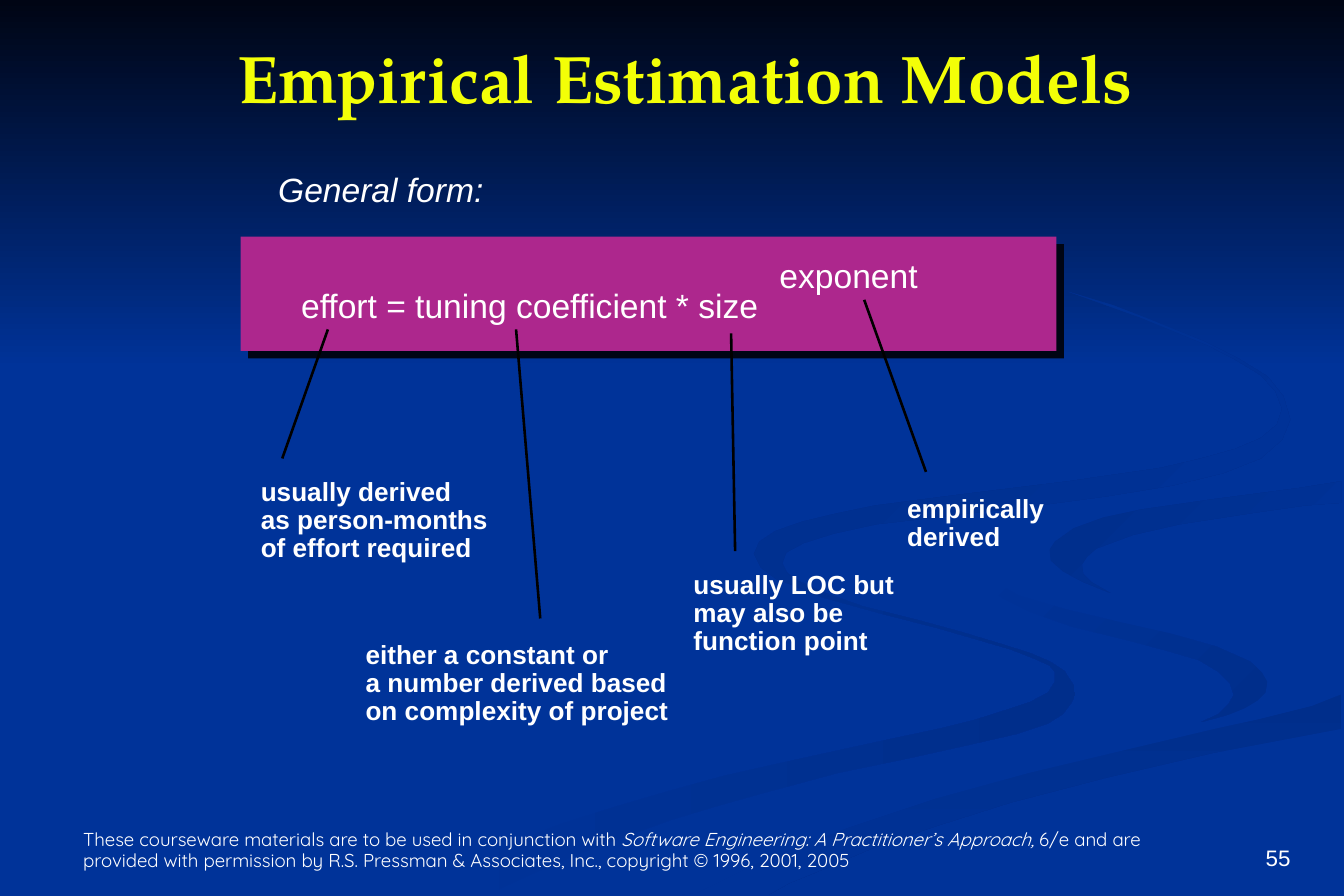
import lxml.etree
import pptx
import pptx.dml.color
import pptx.enum.shapes
import pptx.enum.text
import pptx.oxml
import pptx.oxml.ns
import pptx.util

Inches = pptx.util.Inches
Pt = pptx.util.Pt

NAVY, BLUE, SHADE, WHITE = "000514", "003399", "002E8B", "FFFFFF"

LOWER_RIBBON = [
    (7.81, 4.92), (7.67, 4.86), (7.45, 4.79), (7.15, 4.7), (6.82, 4.61), (6.42, 4.51),
    (6.14, 4.41), (5.94, 4.32), (5.83, 4.24), (5.76, 4.18), (5.74, 4.13), (5.75, 4.09),
    (5.7, 4.16), (5.72, 4.24), (5.81, 4.3), (5.93, 4.37), (6.11, 4.44), (6.54, 4.56),
    (6.97, 4.67), (7.28, 4.76), (7.52, 4.83), (7.7, 4.9), (7.81, 4.95), (7.85, 5),
    (7.85, 5.07), (7.8, 5.15), (7.67, 5.22), (7.49, 5.28), (7.27, 5.35), (6.99, 5.42),
    (6.52, 5.52), (5.79, 5.68), (5.39, 5.77), (4.99, 5.88), (4.58, 6), (4.17, 6.13),
    (3.76, 6.29), (3.38, 6.46), (3, 6.66), (3.61, 6.66), (3.96, 6.5), (4.31, 6.35),
    (4.66, 6.22), (4.99, 6.1), (5.32, 6), (5.64, 5.91), (6.23, 5.75), (6.76, 5.64),
    (7.21, 5.54), (7.56, 5.46), (7.8, 5.38), (7.91, 5.31), (7.97, 5.23), (8, 5.17),
    (7.99, 5.1), (7.92, 4.99),
]
MIDDLE_CURL = [
    (9.43, 5.07), (9.39, 5), (9.3, 4.92), (9.05, 4.81), (8.7, 4.71), (8.3, 4.62),
    (7.92, 4.53), (7.58, 4.43), (7.33, 4.29), (7.27, 4.22), (7.24, 4.13), (7.25, 4.22),
    (7.33, 4.35), (7.46, 4.45), (7.66, 4.55), (7.97, 4.66), (8.38, 4.76), (8.68, 4.84),
    (8.92, 4.91), (9.07, 5), (9.15, 5.08), (9.18, 5.17), (9.14, 5.24), (9.07, 5.31),
    (8.94, 5.37), (9.16, 5.31), (9.32, 5.24), (9.41, 5.17),
]
CORNER_SWEEP = [
    (5.19, 6.64), (5.03, 6.66), (5.71, 6.66), (5.87, 6.57), (6.14, 6.46), (6.49, 6.31),
    (6.95, 6.15), (7.52, 5.97), (8.21, 5.79), (9.03, 5.6), (9.98, 5.42), (9.98, 5.16),
    (9.76, 5.25), (9.36, 5.35), (9.03, 5.42), (8.31, 5.59), (7.64, 5.75), (6.96, 5.94),
    (6.3, 6.16), (5.69, 6.39),
]
WIDE_RIBBON = [
    (7.25, 4.12), (7.28, 4.21), (7.34, 4.29), (7.59, 4.42), (7.93, 4.52), (8.31, 4.62),
    (8.71, 4.71), (9.05, 4.8), (9.31, 4.92), (9.39, 5), (9.43, 5.07), (9.42, 5.15),
    (9.36, 5.21), (9.26, 5.27), (9.11, 5.33), (8.92, 5.38), (8.43, 5.49), (7.8, 5.63),
    (7.04, 5.82), (6.19, 6.08), (5.26, 6.44), (4.77, 6.66), (5.03, 6.66), (5.19, 6.64),
    (5.7, 6.39), (6.3, 6.16), (6.96, 5.94), (7.65, 5.75), (8.32, 5.59), (9.04, 5.42),
    (9.36, 5.35), (9.76, 5.25), (9.99, 5.16), (9.99, 4.79), (9.59, 4.72), (9.04, 4.61),
    (8.48, 4.48), (8.17, 4.37), (7.94, 4.27), (7.84, 4.17), (7.81, 4.11), (7.86, 4.03),
    (8, 3.93), (8.22, 3.85), (8.5, 3.79), (8.99, 3.72), (9.33, 3.69), (9.99, 3.58),
    (9.99, 3.44), (9.62, 3.51), (9.2, 3.57), (8.51, 3.65), (8.08, 3.71), (7.7, 3.79),
    (7.42, 3.9), (7.3, 4),
]
RIGHT_CURL = [
    (7.81, 4.09), (7.82, 4.17), (7.91, 4.25), (8.06, 4.33), (8.26, 4.41), (8.12, 4.33),
    (8.06, 4.27), (8.05, 4.2), (8.09, 4.14), (8.16, 4.08), (8.43, 3.98), (8.78, 3.9),
    (9.36, 3.81), (9.71, 3.76), (9.98, 3.74), (9.98, 3.58), (9.67, 3.63), (8.98, 3.72),
    (8.49, 3.79), (8.21, 3.85), (7.99, 3.93), (7.85, 4.03),
]
UPPER_RIBBON = [
    (6.95, 3.85), (7.65, 3.77), (8.25, 3.69), (8.73, 3.61), (9.1, 3.52), (9.38, 3.41),
    (9.54, 3.27), (9.6, 3.12), (9.55, 2.95), (9.43, 2.8), (9.22, 2.67), (8.96, 2.54),
    (8.54, 2.37), (8.28, 2.27), (7.95, 2.17), (8.48, 2.36), (8.99, 2.57), (9.2, 2.68),
    (9.38, 2.79), (9.49, 2.91), (9.54, 3.04), (9.5, 3.16), (9.38, 3.26), (9.19, 3.34),
    (8.94, 3.41), (8.64, 3.48), (7.95, 3.58), (7.21, 3.67), (6.51, 3.76), (6.22, 3.82),
    (5.97, 3.88), (5.77, 3.95), (5.65, 4.03), (5.61, 4.12), (5.66, 4.22), (5.78, 4.31),
    (5.95, 4.37), (6.18, 4.44), (5.99, 4.36), (5.86, 4.27), (5.82, 4.19), (5.85, 4.11),
    (5.98, 4.04), (6.2, 3.97), (6.52, 3.9),
]
SWIRLS = [
    (LOWER_RIBBON, (BLUE, SHADE), 0),
    (MIDDLE_CURL, (BLUE, SHADE), 45),
    (CORNER_SWEEP, (SHADE, BLUE), 90),
    (WIDE_RIBBON, (BLUE, BLUE), 0),
    (RIGHT_CURL, (SHADE, BLUE), 45),
    (UPPER_RIBBON, (SHADE, BLUE), 45),
]
TERMS = [
    ("General form:", 2.07, 1.29, 1.53, True),
    ("effort = tuning coefficient * size", 2.24, 2.15, 3.41, False),
    ("exponent", 5.8, 1.93, 1.03, False),
]
POINTERS = [
    (2.44, 2.45, 2.1, 3.41),
    (3.84, 2.45, 4.02, 4.6),
    (5.44, 2.48, 5.47, 4.1),
    (6.43, 2.23, 6.89, 3.51),
]
NOTES = [
    (1.94, 3.56, 1.69, ["usually derived", "as person-months", "of effort required"]),
    (2.72, 4.77, 2.3, ["either a constant or", "a number derived based", "on complexity of project"]),
    (5.16, 4.25, 1.5, ["usually LOC but", "may also be", "function point"]),
    (6.75, 3.69, 1.02, ["empirically", "derived"]),
]


def colour(value):
    """Turn a hex string into a colour."""
    return pptx.dml.color.RGBColor.from_string(value)


def paint_gradient(shape, ends, angle):
    """Fill a shape with two colours, the angle running clockwise."""
    shape.shadow.inherit = False
    shape.line.fill.background()
    shape.fill.gradient()
    shape.fill.gradient_angle = (360 - angle) % 360
    for stop, value, position in zip(shape.fill.gradient_stops, ends, (0, 1)):
        stop.color.rgb = colour(value)
        stop.position = position


def add_rectangle(page, left, top, width, height):
    """Add a rectangle without an outline."""
    box = page.shapes.add_shape(pptx.enum.shapes.MSO_SHAPE.RECTANGLE, *map(Inches, (left, top, width, height)))
    box.shadow.inherit = False
    box.line.fill.background()
    return box


def add_swirl(page, points, ends, angle):
    """Add a closed ribbon of the backdrop."""
    corners = [(Inches(x), Inches(y)) for x, y in points]
    builder = page.shapes.build_freeform(*corners[0])
    builder.add_line_segments(corners[1:], close=True)
    paint_gradient(builder.convert_to_shape(), ends, angle)


def add_formula_panel(page):
    """Add the panel with its hard shadow."""
    panel = add_rectangle(page, 1.79, 1.76, 6.07, 0.85)
    panel.fill.solid()
    panel.fill.fore_color.rgb = colour("AD278D")
    effects = panel.element.spPr.find(pptx.oxml.ns.qn("a:effectLst"))
    shadow = lxml.etree.SubElement(effects, pptx.oxml.ns.qn("a:outerShdw"), dist=str(Pt(5.7)), dir="2700000", rotWithShape="0")
    lxml.etree.SubElement(shadow, pptx.oxml.ns.qn("a:srgbClr"), val=NAVY)


def add_span(para, text, size, font="Arial", value=WHITE, bold=False, italic=False):
    """Add one formatted run."""
    span = para.add_run()
    span.text = text
    span.font.size = Pt(size)
    span.font.name = font
    span.font.bold = bold
    span.font.italic = italic
    span.font.color.rgb = colour(value)


def set_frame(box, side, end, wrap=True, anchor="TOP"):
    """Set margins, wrapping and anchor, and return the first paragraph."""
    frame = box.text_frame
    frame.margin_left = frame.margin_right = Inches(side)
    frame.margin_top = frame.margin_bottom = Inches(end)
    frame.word_wrap = wrap
    frame.vertical_anchor = pptx.enum.text.MSO_ANCHOR[anchor]
    return frame.paragraphs[0]


def add_label(page, lines, left, top, width, height, spacing, **style):
    """Add an unwrapped label, one paragraph a line."""
    box = page.shapes.add_textbox(*map(Inches, (left, top, width, height)))
    para = set_frame(box, 0, 0, wrap=False)
    for index, line in enumerate(lines):
        if index:
            para = box.text_frame.add_paragraph()
        para.line_spacing = spacing
        add_span(para, line, **style)


def add_pointer(page, *ends):
    """Add a black line from a term to its note."""
    line = page.shapes.add_connector(pptx.enum.shapes.MSO_CONNECTOR.STRAIGHT, *map(Inches, ends))
    line.line.color.rgb = colour("000000")
    line.line.width = Pt(1.39)
    lxml.etree.SubElement(line.element.spPr, pptx.oxml.ns.qn("a:effectLst"))


def add_footer(page):
    """Add the copyright line and the page number."""
    box = page.shapes.add_textbox(*map(Inches, (0.52, 6.07, 8.42, 0.46)))
    para = set_frame(box, 0.1, 0.05, anchor="BOTTOM")
    para.line_spacing = 0.9
    add_span(para, "These courseware materials are to be used in conjunction with ", 10, "Quicksand")
    add_span(para, "Software Engineering: A Practitioner’s Approach,", 10, "Quicksand", italic=True)
    add_span(para, " 6/e and are provided with permission by R.S. Pressman & Associates, Inc., copyright © 1996, 2001, 2005", 10, "Quicksand")
    box = page.shapes.add_textbox(*map(Inches, (9.01, 6.07, 0.69, 0.46)))
    para = set_frame(box, 0.1, 0.05, anchor="BOTTOM")
    para.alignment = pptx.enum.text.PP_ALIGN.RIGHT
    add_span(para, "55", 12)


def place_title(page):
    """Place the title in front of the backdrop."""
    title = page.shapes.title
    title.left, title.top, title.width, title.height = map(Inches, (1.67, 0.24, 6.85, 0.66))
    para = set_frame(title, 0.07, 0.03)
    para.alignment = pptx.enum.text.PP_ALIGN.CENTER
    add_span(para, "Empirical Estimation Models", 36, "TeX Gyre Pagella", "F3FF07", bold=True)
    page.shapes.element.append(title.element)


def main():
    """Build and save the deck."""
    deck = pptx.Presentation()
    deck.slide_width, deck.slide_height = Inches(10), Inches(6.664)
    page = deck.slides.add_slide(deck.slide_layouts[5])
    page.background.fill.solid()
    page.background.fill.fore_color.rgb = colour(BLUE)
    paint_gradient(add_rectangle(page, 0, 0, 10, 2.74), (NAVY, BLUE), 90)
    for points, ends, angle in SWIRLS:
        add_swirl(page, points, ends, angle)
    add_footer(page)
    add_formula_panel(page)
    place_title(page)
    for text, left, top, width, italic in TERMS:
        add_label(page, [text], left, top, width, 0.27, 0.9, size=18, italic=italic)
    for ends in POINTERS:
        add_pointer(page, *ends)
    for left, top, width, lines in NOTES:
        add_label(page, lines, left, top, width, 0.21 * len(lines), Pt(15), size=14, bold=True)
    deck.save("out.pptx")


if __name__ == "__main__":
    main()
